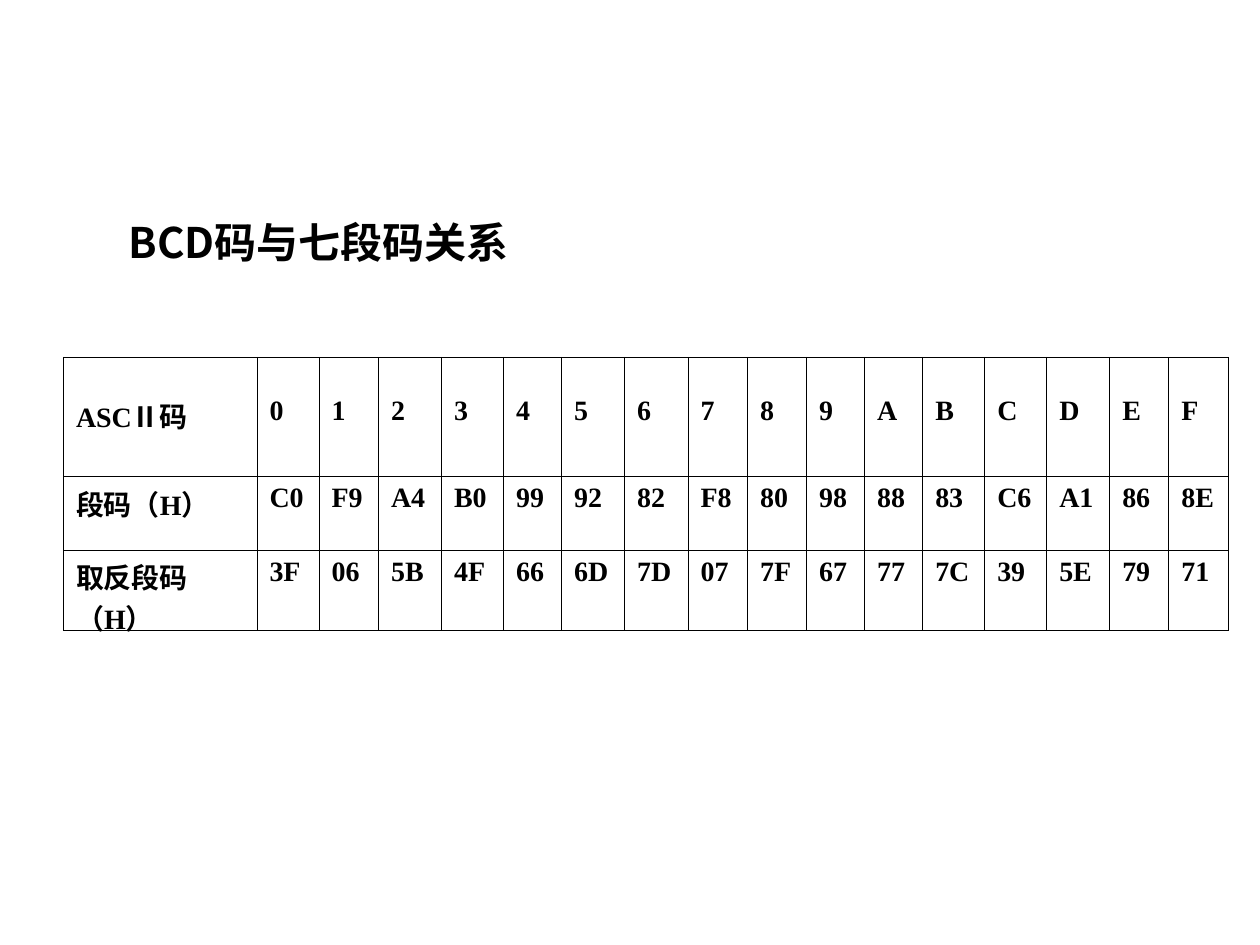
from lxml.etree import SubElement
from pptx import Presentation
from pptx.dml.color import RGBColor
from pptx.enum.text import MSO_ANCHOR as Anchor, MSO_AUTO_SIZE as AutoSize
from pptx.oxml.ns import qn
from pptx.util import Cm, Pt

BLACK = RGBColor(0x00, 0x00, 0x00)
SERIF = "Times New Roman"
SANS = "Noto Sans CJK SC"
SANS_JP = "Noto Sans CJK JP"

TITLE = "BCD码与七段码关系"
ROWS = [
    ([("ASC", SERIF), ("Ⅱ", SANS_JP), ("码", SERIF)], "0 1 2 3 4 5 6 7 8 9 A B C D E F"),
    ([("段码（H）", SERIF)], "C0 F9 A4 B0 99 92 82 F8 80 98 88 83 C6 A1 86 8E"),
    ([("取反段码（H）", SERIF)], "3F 06 5B 4F 66 6D 7D 07 7F 67 77 7C 39 5E 79 71"),
]
COLUMN_WIDTHS = [3.9, 1.25, 1.2, 1.27, 1.25, 1.17, 1.27, 1.28, 1.2,
                 1.19, 1.17, 1.17, 1.25, 1.25, 1.27, 1.19, 1.21]
ROW_HEIGHTS = [2.4, 1.49, 1.61]
TOP_MARGINS = [0.77, 0.13, 0.13]


def add_span(para, text, size, latin, asian):
    span = para.add_run()
    span.text = text
    font = span.font
    font.size, font.bold, font.name = Pt(size), True, latin
    font.color.rgb = BLACK
    SubElement(span._r.get_or_add_rPr(), qn("a:ea"), typeface=asian)


def add_borders(cell):
    properties = cell._tc.get_or_add_tcPr()
    for index, side in enumerate(("lnL", "lnR", "lnT", "lnB")):
        line = properties.makeelement(qn(f"a:{side}"), {"w": str(int(Pt(0.45)))})
        fill = SubElement(line, qn("a:solidFill"))
        SubElement(fill, qn("a:srgbClr"), val=str(BLACK))
        properties.insert(index, line)


def add_title(page):
    box = page.shapes.add_textbox(Cm(2.34), Cm(4.24), Cm(8.36), Cm(1.27))
    frame = box.text_frame
    frame.word_wrap = False
    frame.auto_size = AutoSize.SHAPE_TO_FIT_TEXT
    frame.vertical_anchor = Anchor.MIDDLE
    add_span(frame.paragraphs[0], TITLE, 24, SANS, SANS)


def add_code_table(page):
    table = page.shapes.add_table(
        len(ROWS), len(COLUMN_WIDTHS), Cm(1.28), Cm(7.2),
        Cm(sum(COLUMN_WIDTHS)), Cm(sum(ROW_HEIGHTS))).table
    table.first_row = table.horz_banding = False
    for column, width in zip(table.columns, COLUMN_WIDTHS):
        column.width = Cm(width)
    for row, height, margin, (label, codes) in zip(table.rows, ROW_HEIGHTS, TOP_MARGINS, ROWS):
        row.height = Cm(height)
        contents = [label] + [[(code, SERIF)] for code in codes.split()]
        for cell, spans in zip(row.cells, contents):
            cell.fill.background()
            cell.margin_top = Cm(margin)
            add_borders(cell)
            para = cell.text_frame.paragraphs[0]
            for text, font_name in spans:
                asian = SANS if font_name == SERIF else font_name
                add_span(para, text, 16, font_name, asian)


def main():
    deck = Presentation()
    deck.slide_width, deck.slide_height = Cm(25.4), Cm(19.05)
    page = deck.slides.add_slide(deck.slide_layouts[6])
    add_title(page)
    add_code_table(page)
    deck.save("out.pptx")


if __name__ == "__main__":
    main()
